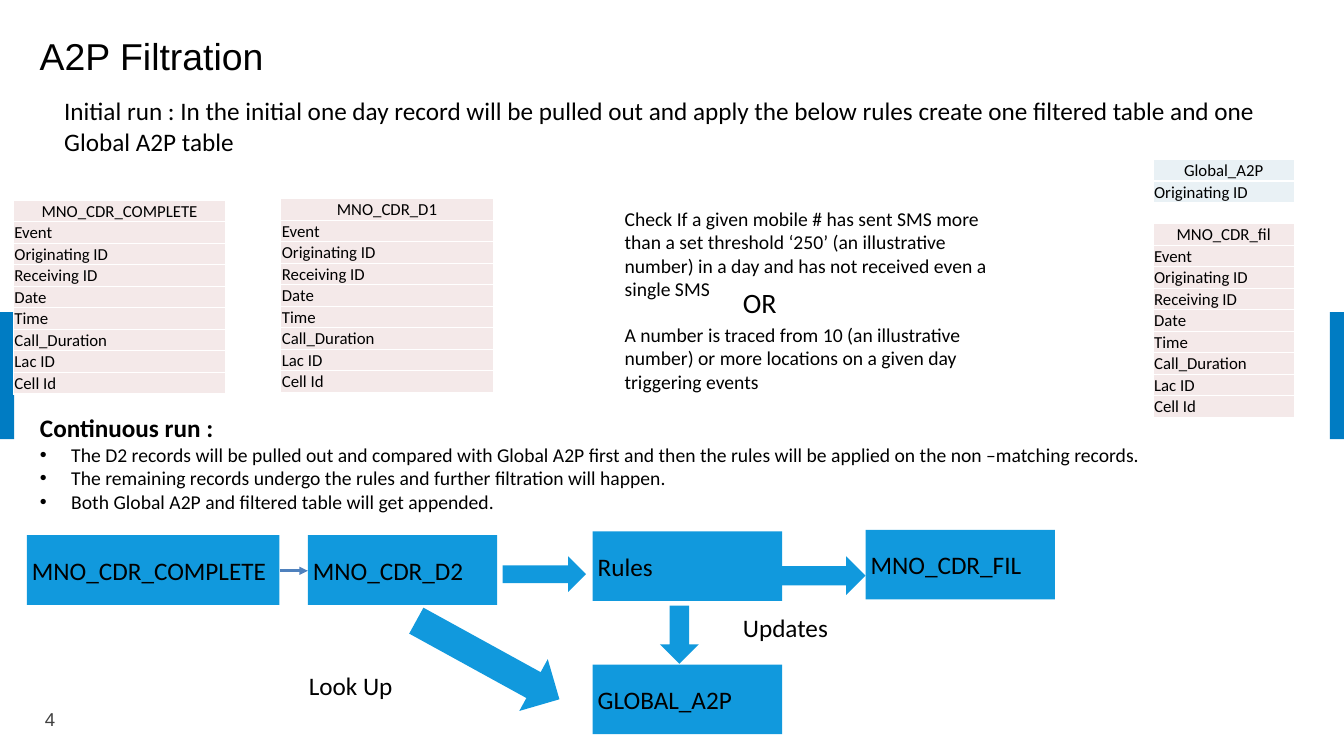
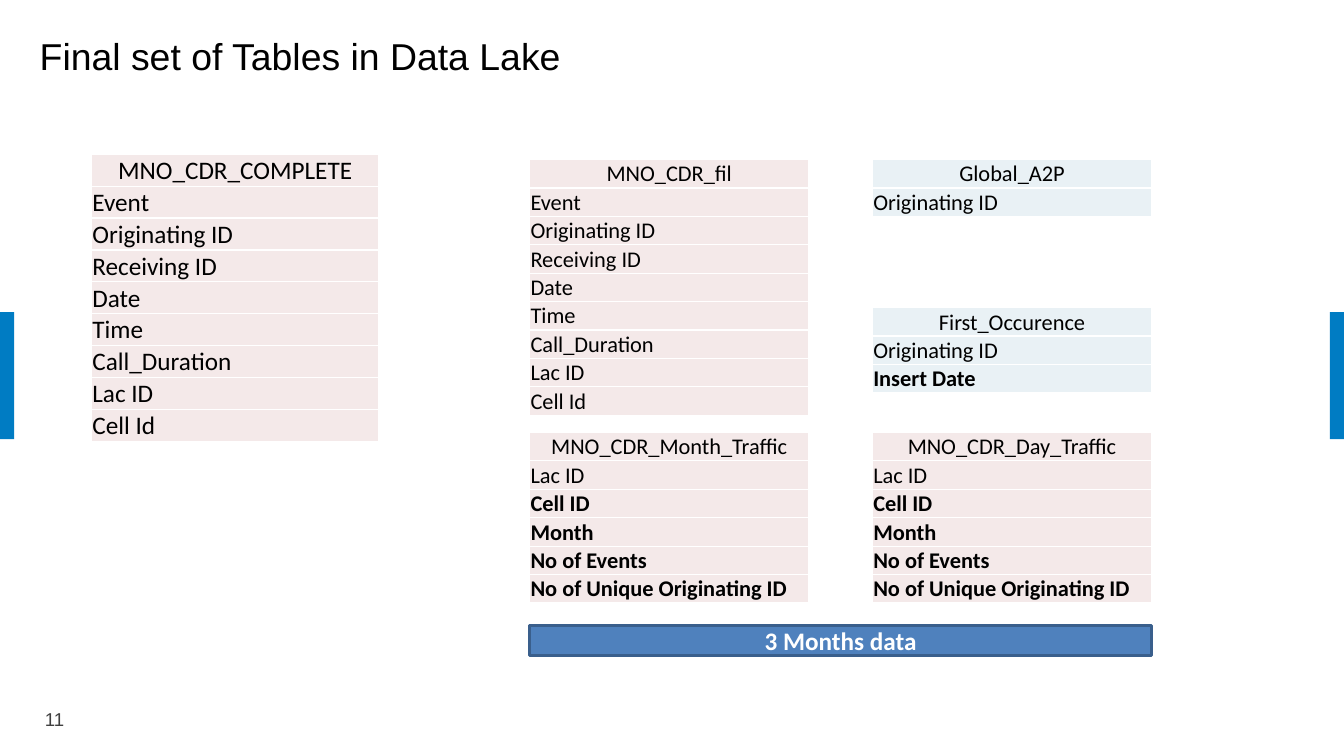
from lxml.etree import SubElement
from pptx import Presentation
from pptx.dml.color import RGBColor
from pptx.enum.shapes import MSO_CONNECTOR, MSO_SHAPE
from pptx.enum.text import MSO_ANCHOR as ANCHOR, MSO_AUTO_SIZE, PP_ALIGN as ALIGN
from pptx.oxml.ns import qn
from pptx.util import Inches, Pt

W, H = Inches(13.33), Inches(7.5)
COLORS = {
    "band": "007CC3", "flow": "1199DD", "rose": "F4E9E9", "ice": "E9F1F5",
    "bar": "4F81BD", "bar_line": "3A5F8C", "text": "000000",
    "number": "404040", "white": "FFFFFF",
}
BAND_W = 1.05
INSET = Inches(0.05)
CDR = ["Event", "Originating ID", "Receiving ID", "Date", "Time",
       "Call_Duration", "Lac ID", "Cell Id"]
TRAFFIC = ["Lac ID", "Cell ID", "Month", "No of Events",
           "No of Unique Originating ID"]


def rgb(name):
    return RGBColor.from_string(COLORS[name])


def across(share):
    return round(W * share / 100)


def down(share):
    return round(H * share / 100)


def box(x, y, w, h):
    return across(x), down(y), across(w), down(h)


def place(sp, area):
    sp.left, sp.top, sp.width, sp.height = box(*area)


def style(p, size, color="text", font="Calibri", bold=False, align=ALIGN.LEFT):
    p.font.size, p.font.name, p.font.bold = Pt(size), font, bold
    p.font.color.rgb = rgb(color)
    p.alignment = align


def frame(sp, anchor=ANCHOR.TOP, inset=INSET):
    tf = sp.text_frame
    tf.word_wrap = True
    tf.auto_size = MSO_AUTO_SIZE.NONE
    tf.vertical_anchor = anchor
    if inset is not None:
        tf.margin_left = tf.margin_right = inset
        tf.margin_top = tf.margin_bottom = inset
    return tf


def add_text(s, area, text, size):
    tf = frame(s.shapes.add_textbox(*box(*area)))
    tf.text = text
    style(tf.paragraphs[0], size)


def add_shape(s, kind, area, fill="flow", line=None, rotation=0):
    sp = s.shapes.add_shape(kind, *box(*area))
    sp.shadow.inherit = False
    sp.fill.solid()
    sp.fill.fore_color.rgb = rgb(fill)
    sp.rotation = rotation
    if line:
        sp.line.color.rgb = rgb(line)
        sp.line.width = Pt(2)
    else:
        sp.line.fill.background()
    return sp


def add_box(s, area, text, fill="flow", line=None, **font):
    sp = add_shape(s, MSO_SHAPE.RECTANGLE, area, fill, line)
    tf = frame(sp, ANCHOR.MIDDLE)
    tf.text = text
    style(tf.paragraphs[0], 18, **font)


def add_link(s, x1, x2, y):
    line = s.shapes.add_connector(
        MSO_CONNECTOR.STRAIGHT, across(x1), down(y), across(x2), down(y))
    line.line.color.rgb = rgb("bar")
    line.line.width = Pt(2)
    SubElement(line.line._get_or_add_ln(), qn("a:tailEnd"), type="triangle")
    SubElement(line._element.spPr, qn("a:effectLst"))


def add_borders(cell):
    tc_pr = cell._tc.get_or_add_tcPr()
    for side in ("lnL", "lnR", "lnT", "lnB"):
        ln = SubElement(tc_pr, qn(f"a:{side}"), w=str(Pt(1)))
        fill = SubElement(ln, qn("a:solidFill"))
        SubElement(fill, qn("a:srgbClr"), val=COLORS["white"])


def add_field_table(s, x, y, w, size, name, fields, fill="rose", bold_from=99):
    rows = [name] + fields
    row_h = Inches(size * 0.0176)
    table = s.shapes.add_table(len(rows), 1, across(x), down(y), across(w),
                               row_h * len(rows)).table
    table.first_row = table.horz_banding = False
    for i, text in enumerate(rows):
        table.rows[i].height = row_h
        cell = table.cell(i, 0)
        add_borders(cell)
        cell.fill.solid()
        cell.fill.fore_color.rgb = rgb(fill)
        cell.margin_left = cell.margin_right = cell.margin_top = Inches(0.01)
        cell.margin_bottom = 0
        cell.vertical_anchor = ANCHOR.BOTTOM
        cell.text = text
        style(cell.text_frame.paragraphs[0], size, bold=i >= bold_from,
              align=ALIGN.LEFT if i else ALIGN.CENTER)


def add_list(sp, area, heading, items):
    place(sp, area)
    tf = frame(sp)
    tf.text = "\n".join([heading] + items)
    for i, p in enumerate(tf.paragraphs):
        style(p, 14 if i else 18, bold=not i)
        p.space_before = Pt(0)
        indent = Inches(0.31) if i else 0
        p_pr = p._p.get_or_add_pPr()
        p_pr.set("marL", str(indent))
        p_pr.set("indent", str(-indent))
        if i:
            SubElement(p_pr, qn("a:buChar"), char="•")
        else:
            SubElement(p_pr, qn("a:buNone"))
        p_pr.append(p_pr.find(qn("a:defRPr")))


def add_slide(prs, layout, title, number):
    s = prs.slides.add_slide(prs.slide_layouts[layout])
    for x in (0, 100 - BAND_W):
        add_shape(s, MSO_SHAPE.RECTANGLE, (x, 41.3, BAND_W, 16.8), "band")
    place(s.shapes.title, (2.2, 2.9, 95.4, 8.8))
    num = s.shapes.add_textbox(*box(2.6, 92.4, 5.1, 5.5))
    for sp, text, size, color in ((s.shapes.title, title, 26.7, "text"),
                                  (num, number, 13.3, "number")):
        tf = frame(sp, ANCHOR.MIDDLE, None)
        tf.text = text
        style(tf.paragraphs[0], size, color, "Arial")
    return s


def build_filtration(prs):
    s = add_slide(prs, 1, "A2P Filtration", "4")
    add_text(s, (4.4, 12, 93.2, 9.5),
             "Initial run : In the initial one day record will be pulled out and "
             "apply the below rules create one filtered table and one Global A2P "
             "table", 18)
    add_field_table(s, 1, 26.5, 15.8, 12, "MNO_CDR_COMPLETE", CDR)
    add_field_table(s, 20.9, 26.3, 15.8, 12, "MNO_CDR_D1", CDR)
    add_field_table(s, 85.8, 29.6, 10.5, 12, "MNO_CDR_fil", CDR)
    add_field_table(s, 85.8, 21.1, 10.5, 12, "Global_A2P", ["Originating ID"], "ice")
    add_text(s, (46.1, 26.7, 28.3, 13.9),
             "Check If a given mobile # has sent SMS more than a set threshold "
             "‘250’ (an illustrative number) in a day and has not received even "
             "a single SMS", 14)
    add_text(s, (46.1, 42, 28.3, 10.8),
             "A number is traced from 10 (an illustrative number) or more "
             "locations on a given day triggering events", 14)
    add_text(s, (54.9, 37.1, 28.3, 5.9), "OR", 20)
    add_list(s.placeholders[1], (2.6, 53.9, 93.2, 14.8), "Continuous run :", [
        "The D2 records will be pulled out and compared with Global A2P first "
        "and then the rules will be applied on the non –matching records.",
        "The remaining records undergo the rules and further filtration will happen.",
        "Both Global A2P and filtered table will get appended."])
    for x, y, w, text in ((2, 70.8, 18.8, "MNO_CDR_COMPLETE"),
                          (22.9, 70.8, 14.1, "MNO_CDR_D2"),
                          (44.1, 87.9, 14.1, "GLOBAL_A2P"),
                          (44.1, 70.3, 14.1, "Rules"),
                          (64.4, 70.1, 14.1, "MNO_CDR_FIL")):
        add_box(s, (x, y, w, 9.2), text)
    add_link(s, 20.8, 22.9, 75.5)
    for kind, area, rotation in (
            (MSO_SHAPE.RIGHT_ARROW, (37.4, 73.6, 6.2, 4.7), 0),
            (MSO_SHAPE.DOWN_ARROW, (34.1, 76.5, 4.4, 21.6), 298.8),
            (MSO_SHAPE.DOWN_ARROW, (49.1, 80.1, 2.9, 7.7), 0),
            (MSO_SHAPE.RIGHT_ARROW, (58.2, 73.6, 6.2, 5.1), 0)):
        add_shape(s, kind, area, rotation=rotation)
    add_text(s, (22.6, 88, 7.9, 5.3), "Look Up", 18)
    add_text(s, (54.9, 80.4, 7.9, 5.3), "Updates", 18)


def build_data_lake(prs):
    s = add_slide(prs, 5, "Final set of Tables in Data Lake", "11")
    left, right, w = 39.4, 64.9, 20.8
    add_field_table(s, 6.8, 20.4, 21.4, 18, "MNO_CDR_COMPLETE", CDR)
    add_field_table(s, left, 21.1, w, 16, "MNO_CDR_fil", CDR)
    add_field_table(s, right, 21.1, w, 16, "Global_A2P", ["Originating ID"], "ice")
    add_field_table(s, right, 40.7, w, 16, "First_Occurence",
                    ["Originating ID", "Insert Date"], "ice", 2)
    for x, span in ((left, "Month"), (right, "Day")):
        add_field_table(s, x, 57.2, w, 16, f"MNO_CDR_{span}_Traffic", TRAFFIC,
                        bold_from=2)
    add_box(s, (left, 82.7, right + w - left, 4), "3 Months data", "bar",
            "bar_line", color="white", bold=True, align=ALIGN.CENTER)


def main():
    prs = Presentation()
    prs.slide_width, prs.slide_height = W, H
    build_filtration(prs)
    build_data_lake(prs)
    prs.save("out.pptx")


if __name__ == "__main__":
    main()
